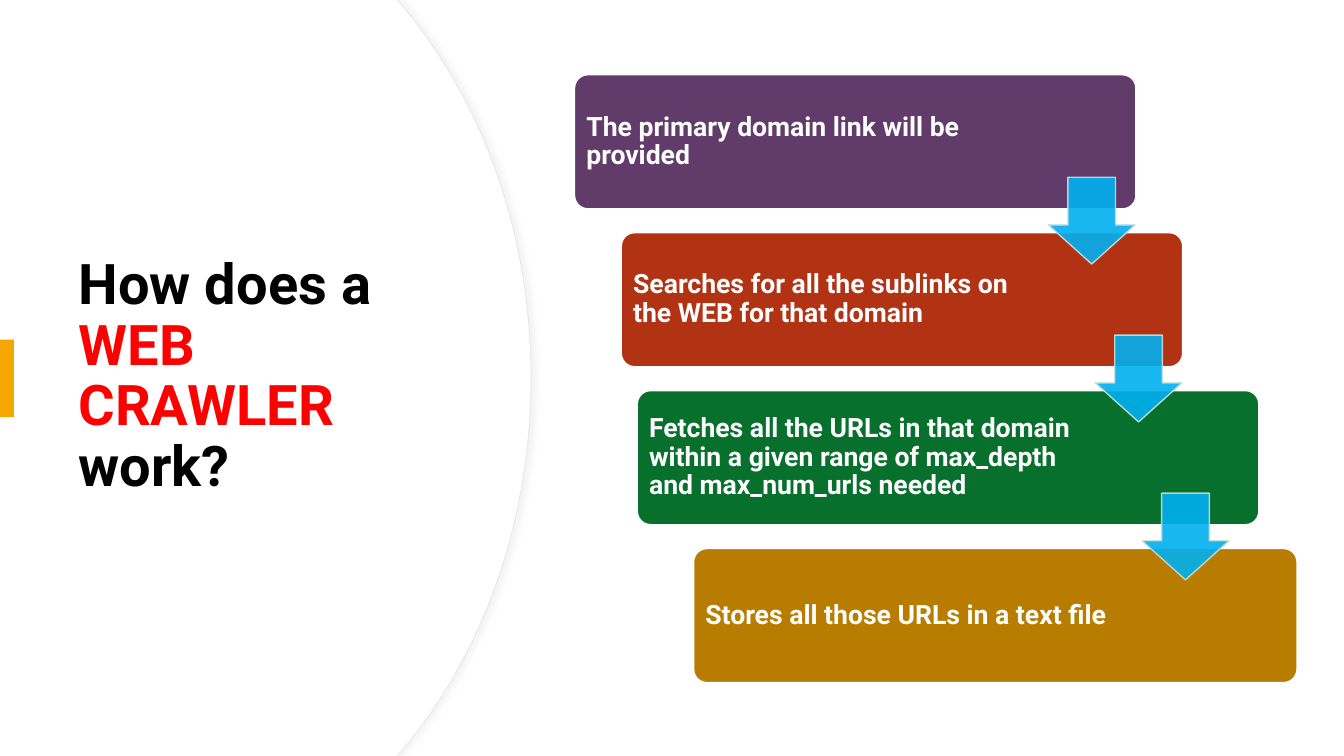
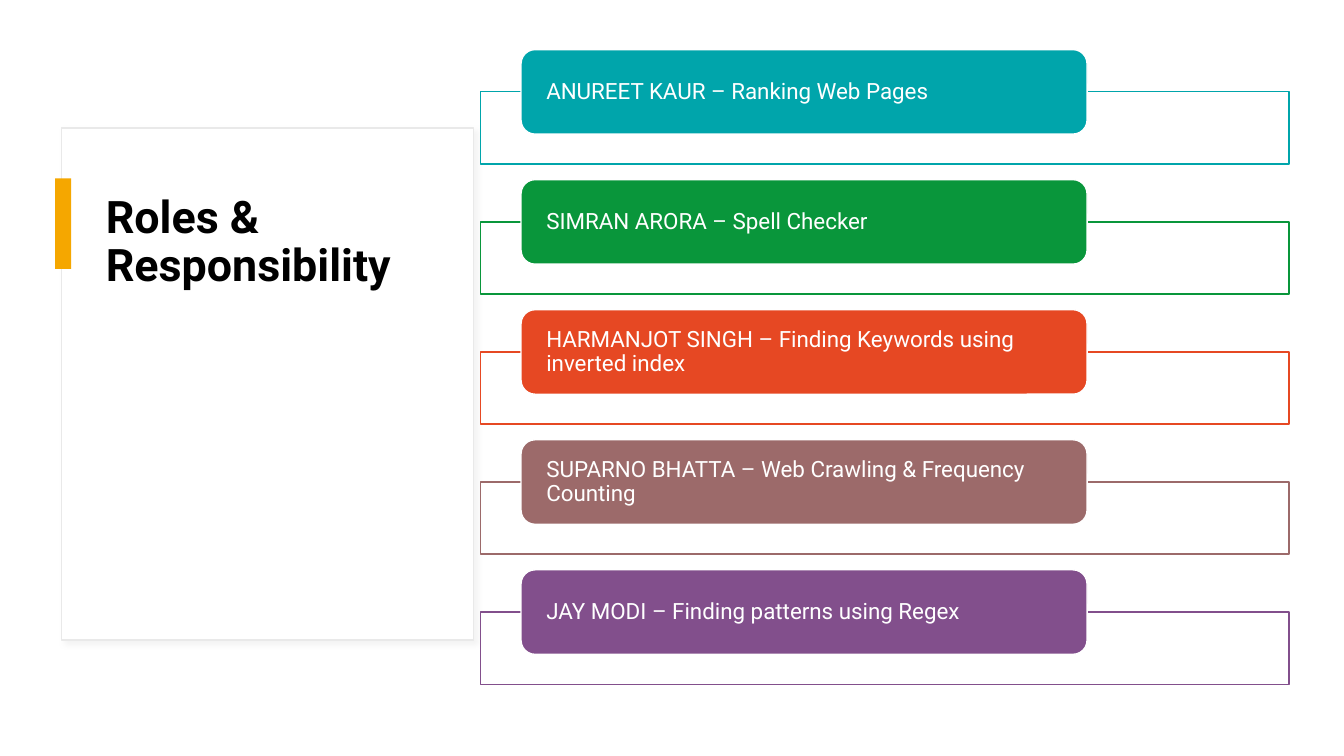
import pptx
import pptx.dml.color
import pptx.enum.shapes
import pptx.enum.text
import pptx.oxml.ns
import pptx.util
from lxml import etree

Pt = pptx.util.Pt
RGB = pptx.dml.color.RGBColor
SHAPE = pptx.enum.shapes.MSO_SHAPE
ANCHOR = pptx.enum.text.MSO_ANCHOR
qn = pptx.oxml.ns.qn

FONT = "Roboto"
WIDTH, HEIGHT = 960, 540
WHITE = RGB(0xFF, 0xFF, 0xFF)
BLACK = RGB(0x00, 0x00, 0x00)
RED = RGB(0xFF, 0x00, 0x00)
AMBER = RGB(0xF5, 0xA7, 0x00)
SKY = RGB(0x00, 0xB0, 0xF0)
EDGE = RGB(0xE9, 0xE9, 0xE9)
PURPLE = RGB(0x61, 0x3B, 0x69)
RUST = RGB(0xB2, 0x32, 0x14)
FOREST = RGB(0x07, 0x70, 0x2C)
OCHRE = RGB(0xB8, 0x7D, 0x00)
TEAL = RGB(0x00, 0xA5, 0xAB)
GREEN = RGB(0x09, 0x96, 0x3B)
ORANGE = RGB(0xE6, 0x48, 0x23)
MAUVE = RGB(0x9C, 0x6A, 0x6A)
VIOLET = RGB(0x82, 0x4F, 0x8C)
ARROW_EDGES = [RGB(0xCC, 0xE1, 0xE2), RGB(0xCC, 0xE0, 0xD8), RGB(0xCC, 0xDD, 0xCF)]

STEPS = [
    ("The primary domain link will be provided", PURPLE, 410.4, 401),
    ("Searches for all the sublinks on the WEB for that domain", RUST, 443.8, 401),
    ("Fetches all the URLs in that domain within a given range of max_depth "
     "and max_num_urls needed", FOREST, 455.2, 444),
    ("Stores all those URLs in a text file", OCHRE, 495.4, 431),
]
ROLES = [
    ("ANUREET KAUR – Ranking Web Pages", TEAL),
    ("SIMRAN ARORA – Spell Checker", GREEN),
    ("HARMANJOT SINGH – Finding Keywords using inverted index", ORANGE),
    ("SUPARNO BHATTA – Web Crawling & Frequency Counting", MAUVE),
    ("JAY MODI – Finding patterns using Regex", VIOLET),
]


def write(tf, runs, size=16, bold=False, anchor=ANCHOR.MIDDLE, insets=(7.2, 3.6, 7.2, 3.6)):
    """Fill a text frame with one left-aligned paragraph of (text, colour) runs."""
    tf.word_wrap = True
    tf.auto_size = pptx.enum.text.MSO_AUTO_SIZE.NONE
    tf.vertical_anchor = anchor
    tf.margin_left, tf.margin_top, tf.margin_right, tf.margin_bottom = map(Pt, insets)
    p = tf.paragraphs[0]
    p.alignment = pptx.enum.text.PP_ALIGN.LEFT
    p.line_spacing = 0.9
    for text, color in runs:
        r = p.add_run()
        r.text = text
        r.font.name, r.font.size, r.font.bold = FONT, Pt(size), bold
        r.font.color.rgb = color


def set_alpha(sp, route, percent):
    """Set the opacity of the colour found at the route below the shape properties."""
    color = sp.element.spPr.find("/".join(map(qn, route + ["a:srgbClr"])))
    etree.SubElement(color, qn("a:alpha")).set("val", str(percent * 1000))


def paint(sp, fill, line=None, weight=1, alpha=None, line_alpha=None):
    """Give a shape its fill and outline, without a shadow."""
    sp.shadow.inherit = False
    sp.fill.solid()
    sp.fill.fore_color.rgb = fill
    if line is None:
        sp.line.fill.background()
    else:
        sp.line.color.rgb = line
        sp.line.width = Pt(weight)
    if alpha:
        set_alpha(sp, ["a:solidFill"], alpha)
    if line_alpha:
        set_alpha(sp, ["a:ln", "a:solidFill"], line_alpha)


def add_shadow(sp, angle):
    """Add a soft grey shadow at the given angle in degrees."""
    effects = sp.element.spPr.find(qn("a:effectLst"))
    shadow = etree.SubElement(effects, qn("a:outerShdw"), blurRad=str(Pt(4)),
                              dist=str(Pt(3)), dir=str(angle * 60000))
    color = etree.SubElement(shadow, qn("a:srgbClr"), val="D9D9D9")
    etree.SubElement(color, qn("a:alpha"), val="30000")


def add_box(s, kind, box, fill, adjust=(), **style):
    """Add a painted preset shape in a (left, top, width, height) box."""
    sp = s.shapes.add_shape(kind, *map(Pt, box))
    for i, value in enumerate(adjust):
        sp.adjustments[i] = value
    paint(sp, fill, **style)
    return sp


def add_title(s, box, bar, runs, **style):
    """Place the title in front of its panel, with an amber bar beside it."""
    title = s.shapes.title
    title.left, title.top, title.width, title.height = map(Pt, box)
    title.element.getparent().append(title.element)
    write(title.text_frame, runs, bold=True, **style)
    add_box(s, SHAPE.RECTANGLE, bar, AMBER)


def add_curved_panel(s, width, **style):
    """Add a full-height panel whose right side bulges out to the given width."""
    x0, x1, x2, y0, y1, mid = width - 90.7, width - 34.5, width, 5.8, 73.4, HEIGHT / 2
    upper = [(width - 95.7, 0)]
    for i in range(31):
        t = i / 30
        u = 1 - t
        upper.append((u**3 * x0 + 3 * u * u * t * x1 + (3 * u * t * t + t**3) * x2,
                      u**3 * y0 + 3 * u * u * t * y1 + 3 * u * t * t * 167 + t**3 * mid))
    lower = [(x, HEIGHT - y) for x, y in reversed(upper[:-1])]
    outline = upper + lower + [(0, HEIGHT)]
    builder = s.shapes.build_freeform(0, 0)
    builder.add_line_segments([(Pt(x), Pt(y)) for x, y in outline], close=True)
    sp = builder.convert_to_shape()
    paint(sp, WHITE, **style)
    return sp


def add_steps(s, top, height, pitch):
    """Add the staggered steps, then the arrows that lead from each to the next."""
    for i, (text, color, left, width) in enumerate(STEPS):
        sp = add_box(s, SHAPE.ROUNDED_RECTANGLE, (left, top + i * pitch, width, height),
                     color, adjust=[0.1], line=WHITE)
        write(sp.text_frame, [(text, WHITE)], size=19, bold=True, insets=(5.7, 5.7, 111, 5.7))
    for i, edge in enumerate(ARROW_EDGES):
        add_box(s, SHAPE.DOWN_ARROW, (748.8 + i * 33.5, top + 73.2 + i * pitch, 62, 62), SKY,
                adjust=[0.55, 0.45], line=edge, alpha=90, line_alpha=90)


def add_roles(s, left, top, width, pitch):
    """Add one outlined frame with a coloured label on its top edge for each role."""
    for i, (text, color) in enumerate(ROLES):
        y = top + i * pitch
        add_box(s, SHAPE.RECTANGLE, (left, y + 30.2, width, 51.6), WHITE, line=color, alpha=90)
        sp = add_box(s, SHAPE.ROUNDED_RECTANGLE, (left + 28.9, y, width * 0.7, 60.4), color,
                     line=WHITE)
        write(sp.text_frame, [(text, WHITE)], insets=(15.1, 0, 15.1, 0))


def build_crawler_slide(s):
    """Build the slide on how a web crawler works."""
    add_shadow(add_curved_panel(s, 379.4, line=EDGE, weight=0.75), 0)
    add_curved_panel(s, 378.7)
    add_title(s, (49, 91.4, 283.7, 356.4), (0, 242.6, 10, 55.4),
              [("How does a ", BLACK), ("WEB CRAWLER ", RED), ("work?", BLACK)], size=40)
    add_steps(s, 53.4, 95.8, 112.8)


def build_roles_slide(s):
    """Build the slide on roles and responsibility."""
    panel = add_box(s, SHAPE.RECTANGLE, (43.9, 91.4, 294.5, 365.8), WHITE, line=EDGE)
    add_shadow(panel, 45)
    add_title(s, (68.4, 135.4, 244, 277.2), (39.4, 127.4, 11.5, 64.8),
              [("Roles & Responsibility", BLACK)], size=32, anchor=ANCHOR.TOP)
    add_roles(s, 343.3, 35.4, 577.6, 92.9)


def main():
    """Build and save the presentation."""
    prs = pptx.Presentation()
    prs.slide_width, prs.slide_height = Pt(WIDTH), Pt(HEIGHT)
    for build in (build_crawler_slide, build_roles_slide):
        build(prs.slides.add_slide(prs.slide_layouts[5]))
    prs.save("out.pptx")


if __name__ == "__main__":
    main()
